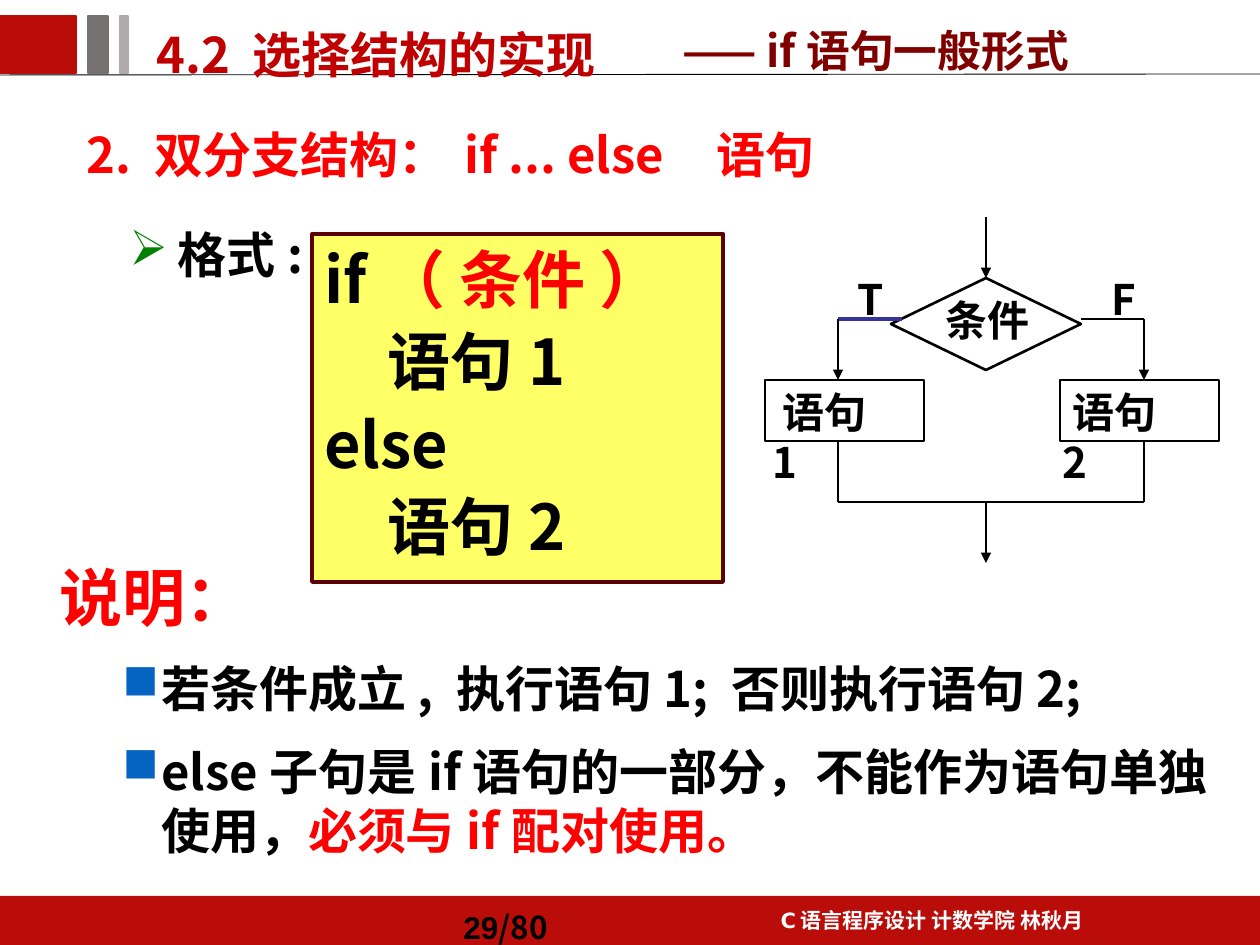
from lxml import etree
from pptx import Presentation
from pptx.dml.color import RGBColor
from pptx.enum.shapes import MSO_CONNECTOR, MSO_SHAPE
from pptx.enum.text import MSO_ANCHOR, PP_ALIGN
from pptx.oxml.ns import qn
from pptx.util import Emu, Pt

RECT = MSO_SHAPE.RECTANGLE
BOX = MSO_SHAPE.FLOWCHART_PROCESS
TEST = MSO_SHAPE.FLOWCHART_DECISION
LINE = MSO_CONNECTOR.STRAIGHT
TOP, LOW, MID = MSO_ANCHOR.TOP, MSO_ANCHOR.BOTTOM, MSO_ANCHOR.MIDDLE
LEFT, CENTER = PP_ALIGN.LEFT, PP_ALIGN.CENTER
SANS = "Noto Sans CJK SC"
BLACK, WHITE, RED, BRAND = "000000", "FFFFFF", "FF0000", "BA0D09"


def px(n):
    return Emu(round(n * 914400 / 126))


def color(code):
    return RGBColor.from_string(code)


def node(parent, tag, **attrs):
    return etree.SubElement(parent, qn("a:" + tag), attrs)


class Deck:
    def __init__(self, wide, high):
        self.prs = Presentation()
        self.prs.slide_width, self.prs.slide_height = px(wide), px(high)
        self.slide = self.prs.slides.add_slide(self.prs.slide_layouts[6])
        self.shapes = self.slide.shapes

    def shape(self, kind, area, fill=None, line=None, width=1.0):
        item = self.shapes.add_shape(kind, *map(px, area))
        item.shadow.inherit = False
        if fill:
            item.fill.solid()
            item.fill.fore_color.rgb = color(fill)
        else:
            item.fill.background()
        if line:
            item.line.color.rgb = color(line)
            item.line.width = Pt(width)
        else:
            item.line.fill.background()
        return item

    def line(self, start, end, hue=BLACK, width=1.5, arrow=False):
        item = self.shapes.add_connector(LINE, *map(px, start + end))
        item.line.color.rgb = color(hue)
        item.line.width = Pt(width)
        if arrow:
            node(item.line._get_or_add_ln(), "tailEnd", type="triangle")
        node(item._element.spPr, "effectLst")

    def text(self, area, *paras, anchor=TOP):
        self.fill(self.shapes.add_textbox(*map(px, area)), *paras, anchor=anchor)

    def fill(self, item, *paras, anchor=TOP):
        frame = item.text_frame
        frame.word_wrap = True
        frame.vertical_anchor = anchor
        for i, (runs, form) in enumerate(paras):
            para = frame.paragraphs[0] if i == 0 else frame.add_paragraph()
            self.para(para, runs, **form)

    def para(self, para, runs, size=28, hue=BLACK, font=SANS, align=LEFT,
             gap=0, left=0, first=0, mark=None, tabs=()):
        form = {"alignment": align, "line_spacing": Pt(size * 1.2)}
        if gap:
            form["space_before"] = Pt(gap)
        for key, value in form.items():
            setattr(para, key, value)
        props = para._p.get_or_add_pPr()
        props.set("marL", str(px(left)))
        props.set("indent", str(px(first)))
        if mark:
            char, tint = mark
            node(node(props, "buClr"), "srgbClr", val=tint)
            node(props, "buChar", char=char)
        if tabs:
            stops = node(props, "tabLst")
            for stop in tabs:
                node(stops, "tab", pos=str(px(stop)), algn="l")
        for run in runs:
            words, tint, face = (run + (None, None))[:3]
            part = para.add_run()
            part.text = words
            style = {"name": face or font, "size": Pt(size), "bold": True}
            for key, value in style.items():
                setattr(part.font, key, value)
            part.font.color.rgb = color(tint or hue)
            node(part._r.get_or_add_rPr(), "ea", typeface=SANS)


def frame(deck):
    deck.shape(RECT, (0, 896, 1260, 49), BRAND)
    deck.text((709, 901, 446, 40), ([("C语言程序设计 计数学院 林秋月",)], {
        "size": 12, "hue": WHITE, "font": "DejaVu Sans", "align": CENTER}))
    deck.line((0, 75), (1260, 74), width=0.5)
    for left, wide, hue in ((0, 76, BRAND), (88, 20, "767171"), (120, 8, "AFABAB")):
        deck.shape(RECT, (left, 16, wide, 57), hue, hue)
    deck.text((451, 902, 179, 49),
              ([("29", BLACK, "Arial"), ("/80",)], {"size": 18}), anchor=MID)
    deck.text((144, 18, 500, 70), ([("4.2 选择结构的实现",)], {"hue": "C00000"}))
    deck.text((670, 16, 507, 66),
              ([("—— if语句一般形式",)], {"size": 25, "hue": "800000"}), anchor=LOW)


def syntax(deck):
    deck.text((74, 118, 1142, 80), ([("2. 双分支结构：\tif ... else\t语句",)],
                                    {"hue": RED, "tabs": (403, 637)}))
    deck.text((117, 218, 195, 72), ([("格式:",)], {
        "left": 48, "first": -48, "mark": ("➢", "008000")}))
    code = deck.shape(RECT, (312, 234, 411, 348), "FFFF66", "5D0000", 2.25)
    form = {"size": 39.6, "tabs": (126,)}
    form["size"] = 36
    lines = [[("if",), ("（ 条件 ）", RED)], [("\t语句1",)],
             [("else",)], [("\t语句2",)]]
    deck.fill(code, *((runs, {**form, "gap": 4 if i else 0})
                      for i, runs in enumerate(lines)))


def chart(deck):
    west, mid, east = 838, 986, 1144
    step, fork = 61, 319
    top, base, join = (fork + step * n for n in (1, 2, 3))
    peak = 278
    deck.shape(TEST, (mid - 95, peak, 190, 92), line=BLACK, width=1.5)
    deck.line((mid, peak - step), (mid, peak), arrow=True)
    deck.line((west, fork), (902, fork), "333399", 2)
    deck.line((1081, fork), (east, fork))
    label = {"size": 24}
    sides = ((west, 765, 760, 845, "T", "语句1"),
             (east, 1060, 1050, 1099, "F", "语句2"))
    for axis, left, edge, flag, sign, words in sides:
        deck.shape(BOX, (left, top, 159, step), line=BLACK, width=1.5)
        deck.line((axis, fork), (axis, top), arrow=True)
        deck.line((axis, base), (axis, join))
        deck.text((edge, top, 141, 63), ([(words,)], {**label, "first": 10}))
        deck.text((flag, 267, 53, 63), ([(sign,)], label))
    deck.line((west, join), (east, join))
    deck.line((mid, join), (mid, join + step), arrow=True)
    deck.text((933, 288, 114, 63), ([("条件",)], label))


def notes(deck):
    item = {"left": 102, "first": -39, "gap": 14, "mark": ("■", "0563C1")}
    deck.text((47, 552, 1189, 323),
              ([("说明：",)], {"size": 36, "hue": RED}),
              ([("若条件成立, 执行语句1; 否则执行语句2;",)], item),
              ([("else子句是if语句的一部分，不能作为语句单独使用，",),
                ("必须与if配对使用。", RED)], item))


def main():
    deck = Deck(1260, 945)
    for part in (frame, syntax, chart, notes):
        part(deck)
    deck.prs.save("out.pptx")


if __name__ == "__main__":
    main()
